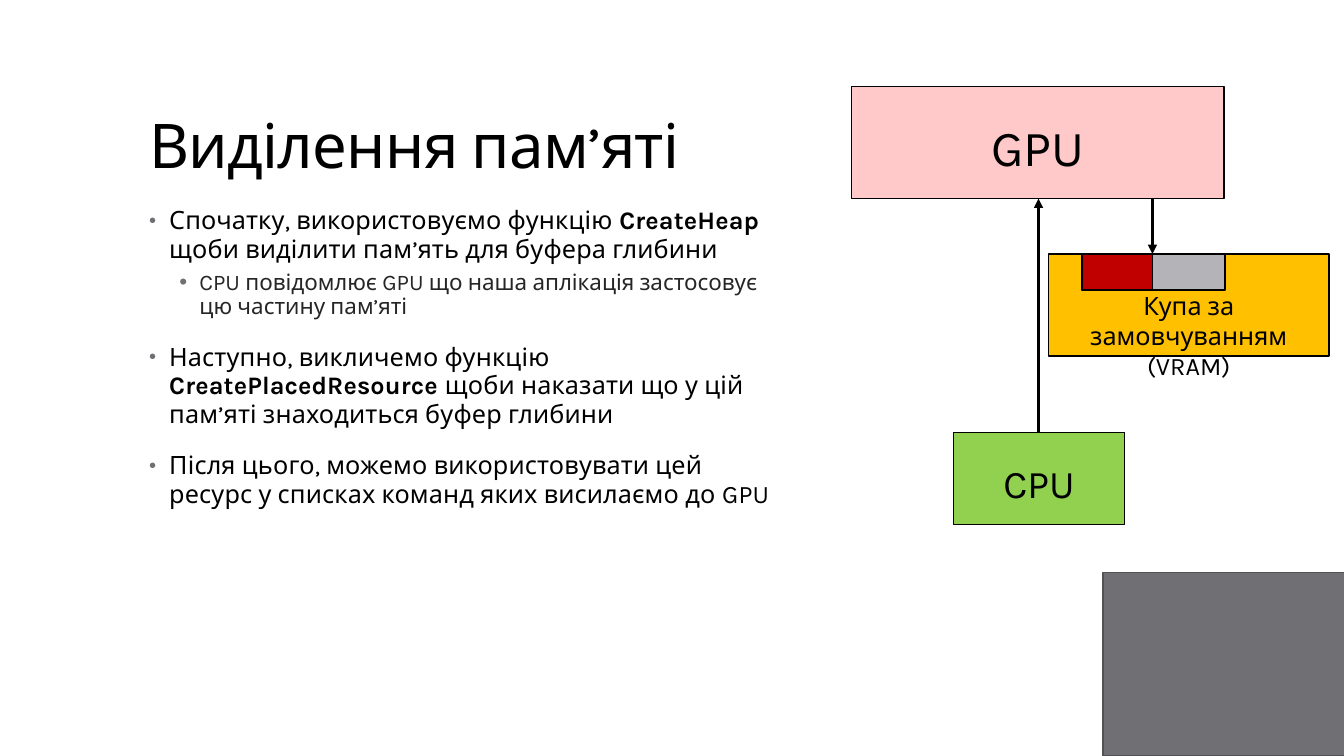
from lxml import etree
from pptx import Presentation
from pptx.dml.color import RGBColor
from pptx.enum.shapes import MSO_CONNECTOR, MSO_SHAPE
from pptx.enum.text import MSO_ANCHOR, MSO_AUTO_SIZE, PP_ALIGN
from pptx.oxml.ns import qn
from pptx.util import Inches, Pt

RECTANGLE = MSO_SHAPE.RECTANGLE
STRAIGHT = MSO_CONNECTOR.STRAIGHT
TOP, MIDDLE, BOTTOM = MSO_ANCHOR.TOP, MSO_ANCHOR.MIDDLE, MSO_ANCHOR.BOTTOM
LEFT, CENTER = PP_ALIGN.LEFT, PP_ALIGN.CENTER
NO_AUTOFIT = MSO_AUTO_SIZE.NONE
TITLE_ONLY = 5

FONT = "Karla"
COLORS = {
    "ink": "000000", "detail": "262626", "bullet": "6F6F74",
    "corner": "6F6F74", "corner_edge": "525256",
    "gpu": "FFC9C9", "cpu": "92D050", "heap": "FFC000",
    "memory": "B4B4B8", "depth_buffer": "C00000",
}
# Per level: size, colour, indent, line spacing, before, after, bullet %, tracking
LEVELS = [
    (18, "ink", 2, 0.95, 14, 2, 80, 10),
    (16, "detail", 5, 0.9, 3, 3, 100, 0),
]
HANGING = 2

# Each point: level, then (text, bold) pieces
POINTS = [
    (0, [("Спочатку, використовуємо функцію ", False), ("CreateHeap ", True),
         ("щоби виділити пам’ять для буфера глибини", False)]),
    (1, [("CPU повідомлює GPU що наша аплікація застосовує цю частину пам’яті", False)]),
    (0, [("Наступно, викличемо функцію ", False), ("CreatePlacedResource ", True),
         ("щоби наказати що у цій пам’яті знаходиться буфер глибини", False)]),
    (0, [("Після цього, можемо використовувати цей ресурс у списках команд "
          "яких висилаємо до GPU", False)]),
]


def grid(cells):
    """Length of a number of grid cells; ten columns or rows make an inch."""
    return Inches(cells / 10)


def rgb(name):
    return RGBColor.from_string(COLORS[name])


class MemorySlide:
    """Holds the slide and draws its elements; places are (column, row, columns, rows)."""

    def __init__(self, deck):
        self.slide = deck.slides.add_slide(deck.slide_layouts[TITLE_ONLY])
        self.shapes = self.slide.shapes

    def style_run(self, run, size, color="ink", bold=False, tracking=0):
        run.font.name = FONT
        run.font.size = Pt(size)
        run.font.bold = bold
        run.font.color.rgb = rgb(color)
        run._r.get_or_add_rPr().set("spc", str(tracking))

    def label(self, frame, text, size, anchor, align=CENTER, tracking=0):
        frame.word_wrap = True
        frame.auto_size = NO_AUTOFIT
        frame.vertical_anchor = anchor
        frame.text = text
        paragraph = frame.paragraphs[0]
        paragraph.alignment = align
        self.style_run(paragraph.runs[0], size, tracking=tracking)
        return paragraph

    def title(self, text, place):
        holder = self.shapes.title
        holder.left, holder.top, holder.width, holder.height = map(grid, place)
        self.label(holder.text_frame, text, 44, BOTTOM, LEFT, -50).line_spacing = 0.9

    def block(self, place, fill, edge="ink", weight=1.1, text=None, size=None):
        rectangle = self.shapes.add_shape(RECTANGLE, *map(grid, place))
        rectangle.shadow.inherit = False
        rectangle.fill.solid()
        rectangle.fill.fore_color.rgb = rgb(fill)
        rectangle.line.color.rgb = rgb(edge)
        rectangle.line.width = Pt(weight)
        if text:
            self.label(rectangle.text_frame, text, size, MIDDLE)
            rectangle.text_frame.margin_top = grid(1.3)

    def caption(self, place, text, size):
        box = self.shapes.add_textbox(*map(grid, place))
        self.label(box.text_frame, text, size, TOP)

    def arrow(self, column, start_row, end_row):
        line = self.shapes.add_connector(
            STRAIGHT, *map(grid, (column, start_row, column, end_row)))
        line.line.color.rgb = rgb("ink")
        line.line.width = Pt(2.25)
        etree.SubElement(line.line._get_or_add_ln(), qn("a:tailEnd"), type="triangle")
        etree.SubElement(line._element.spPr, qn("a:effectLst"))

    def bullets(self, place, points):
        frame = self.shapes.add_textbox(*map(grid, place)).text_frame
        frame.word_wrap = True
        for index, (level, pieces) in enumerate(points):
            size, color, indent, spacing, before, after, percent, tracking = LEVELS[level]
            paragraph = frame.add_paragraph() if index else frame.paragraphs[0]
            properties = paragraph._p.get_or_add_pPr()
            properties.set("marL", str(grid(indent)))
            properties.set("indent", str(-grid(HANGING)))
            tint = etree.SubElement(properties, qn("a:buClr"))
            etree.SubElement(tint, qn("a:srgbClr"), val=COLORS["bullet"])
            etree.SubElement(properties, qn("a:buSzPct"), val=str(percent * 1000))
            etree.SubElement(properties, qn("a:buFont"), typeface="Arial")
            etree.SubElement(properties, qn("a:buChar"), char="•")
            paragraph.level = level
            paragraph.line_spacing = spacing
            paragraph.space_before = Pt(before if index else 0)
            paragraph.space_after = Pt(after)
            for text, bold in pieces:
                run = paragraph.add_run()
                run.text = text
                self.style_run(run, size, color, bold, tracking)


def main():
    deck = Presentation()
    deck.slide_width, deck.slide_height = Inches(13.33), Inches(7.5)
    page = MemorySlide(deck)

    page.block((109.4, 56.8, 24, 18.2), "corner", "corner_edge")
    page.title("Виділення пам’яті", (13.8, 4, 106, 14.5))
    page.bullets((13.8, 20, 63.8, 52), POINTS)

    gpu_bottom, heap_top, cpu_top = 19.7, 25.2, 42.9
    memory_left, depth_width = 107.3, 7
    page.block((84.5, 8.6, 36.9, 11.1), "gpu", weight=0.75, text="GPU", size=36)
    page.block((104, heap_top, 27.8, 10.1), "heap")
    page.caption((104, 28.3, 27.8, 7.1), "Купа за замовчуванням (VRAM)", 18)
    page.block((94.6, cpu_top, 16.9, 9.1), "cpu", weight=0.75, text="CPU", size=28)
    page.arrow(103, cpu_top, gpu_bottom)
    page.block((memory_left, heap_top, 14.2, 3.6), "memory")
    page.block((memory_left, heap_top, depth_width, 3.6), "depth_buffer")
    page.arrow(memory_left + depth_width, gpu_bottom, heap_top)

    deck.save("out.pptx")


if __name__ == "__main__":
    main()
